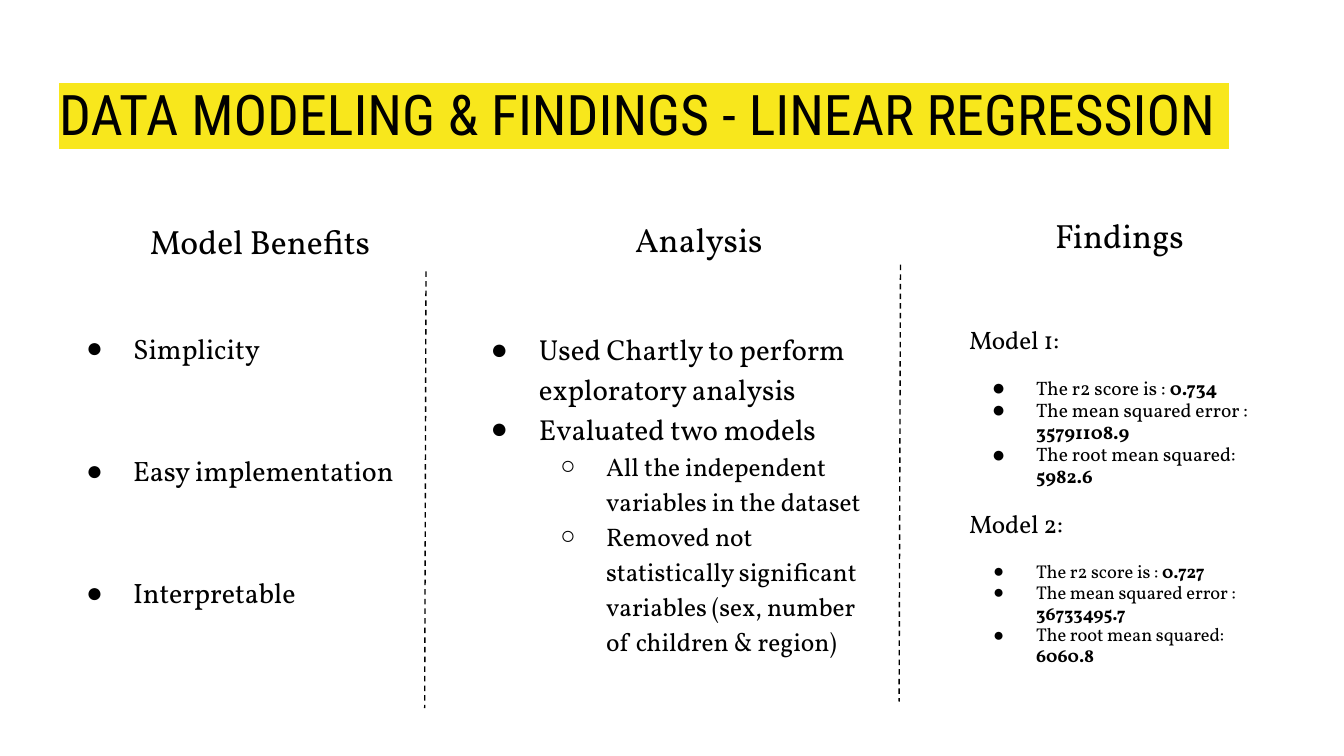
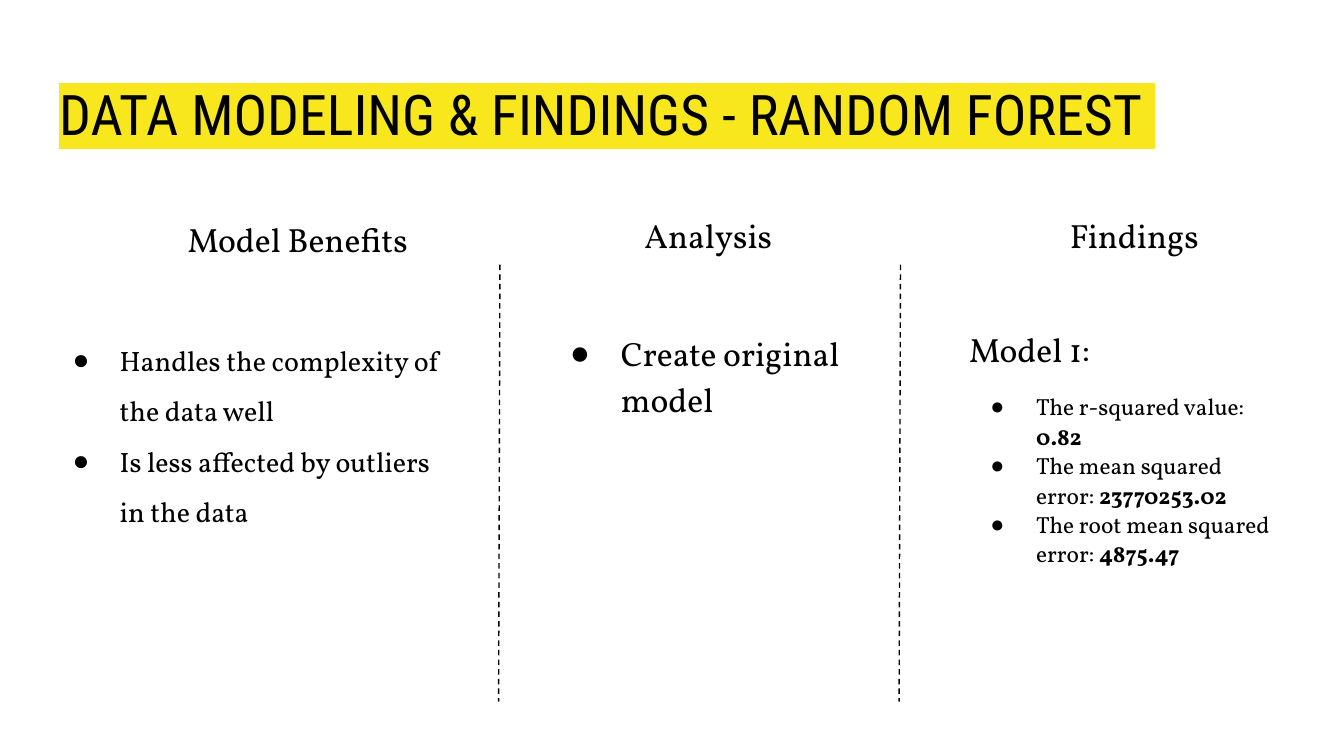
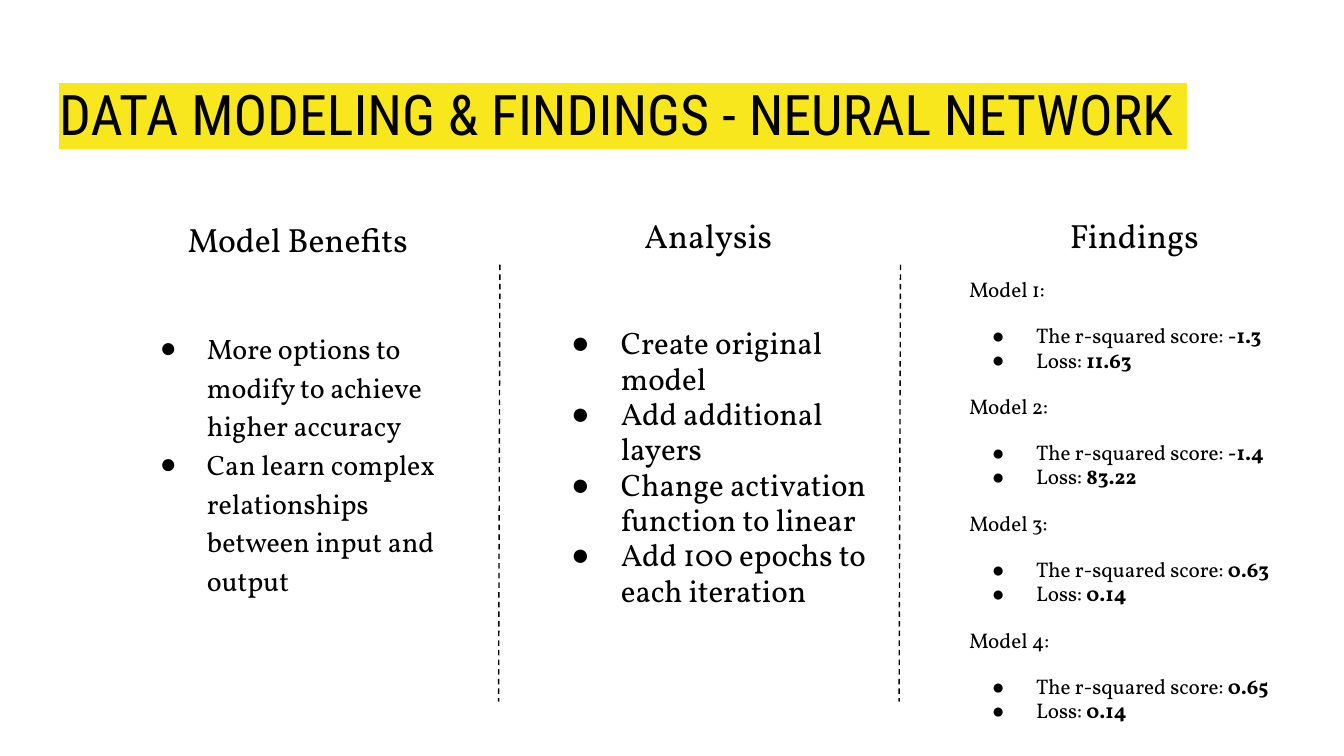
"""Build three slides that compare data models by benefits, analysis and findings."""
from dataclasses import dataclass, replace

from lxml.etree import SubElement
from pptx import Presentation
from pptx.dml.color import RGBColor
from pptx.enum.dml import MSO_LINE
from pptx.enum.shapes import MSO_CONNECTOR
from pptx.enum.text import MSO_ANCHOR as Anchor
from pptx.enum.text import MSO_AUTO_SIZE as AutoSize
from pptx.enum.text import PP_ALIGN as Align
from pptx.oxml.ns import qn
from pptx.slide import Slide
from pptx.text.text import TextFrame, _Paragraph as Paragraph
from pptx.util import Inches, Pt

BLACK = RGBColor(0x00, 0x00, 0x00)
YELLOW = RGBColor(0xF8, 0xE7, 0x1C)
TITLE_FONT = "Roboto Condensed"
TEXT_FONT = "Vollkorn"
COMPARISON_LAYOUT = 4
BODY_INDEXES = (2, 4, 1)
UNUSED_INDEX = 3
DIVIDER_HEIGHT = 3.25
DIVIDER_DRIFT = 0.01
INDENT = 0.5
GROUP_GAP = 12


@dataclass(frozen=True)
class Box:
    """Position and size in inches."""
    left: float
    top: float
    width: float
    height: float


@dataclass(frozen=True)
class Style:
    """Paragraph format of a list entry; hanging is the bullet's distance in inches."""
    size: float
    spacing: float = 1.15
    hanging: float = 0.35
    bullet: str = "●"
    bullet_percent: int = 100
    level: int = 0
    before: float = 0


@dataclass(frozen=True)
class Entry:
    """One paragraph with an optional bold value at its end."""
    text: str
    style: Style
    value: str = ""


@dataclass(frozen=True)
class Column:
    """A heading over a list."""
    heading: str
    heading_box: Box
    list_box: Box
    entries: list[Entry]


@dataclass(frozen=True)
class ModelSlide:
    """A slide on one kind of model, with the divider starts as x and y."""
    model: str
    columns: list[Column]
    dividers: list[tuple[float, float]]


TITLE_BOX = Box(0.34, 0.49, 9.32, 1.04)
BENEFITS_HEADING = Box(0.45, 1.53, 3.53, 0.42)
ANALYSIS_HEADING = Box(4.05, 1.5, 2.44, 0.42)
FINDINGS_HEADING = Box(7.22, 1.5, 2.44, 0.42)
ANALYSIS_LIST = Box(4.02, 2.33, 2.55, 2.63)
FINDINGS_LIST = Box(7.11, 2.33, 2.55, 2.63)
LEFT_DIVIDER = (3.72, 1.97)
RIGHT_DIVIDER = (6.7, 1.97)


def bullets(texts: list[str], style: Style) -> list[Entry]:
    """Give every text the same style."""
    return [Entry(text, style) for text in texts]


def model_group(number: int, label_size: float, scores: dict[str, str], style: Style) -> list[Entry]:
    """Return a model label followed by its scores."""
    label_gap = GROUP_GAP if number > 1 else 0
    label = Style(label_size, style.spacing, bullet="", before=label_gap)
    entries = [Entry(f"Model {number}:", label)]
    for index, (text, value) in enumerate(scores.items()):
        before = 0 if index else GROUP_GAP
        entries.append(Entry(f"{text} ", replace(style, before=before), value))
    return entries


def linear_scores(r2: str, mean: str, root: str) -> dict[str, str]:
    """Name the scores of a linear regression model."""
    return {"The r2 score is :": r2, "The mean squared error :": mean, "The root mean squared:": root}


def linear_regression() -> ModelSlide:
    """Describe the linear regression slide."""
    benefit = Style(15)
    spaced = replace(benefit, before=44.7)
    step = Style(15.5, hanging=0.36)
    detail = Style(13.6, hanging=0.34, bullet="○", level=1)
    benefits = bullets(["Simplicity"], benefit) + bullets(["Easy implementation", "Interpretable"], spaced)
    analysis = bullets(["Used Chartly to perform exploratory analysis", "Evaluated two models"], step)
    analysis += bullets([
        "All the independent variables in the dataset",
        "Removed not statistically significant variables (sex, number of children & region)",
    ], detail)
    findings = model_group(1, 13.5, linear_scores("0.734", "35791108.9", "5982.6"),
                           Style(10.4, 0.95, 0.33, bullet_percent=116))
    findings += model_group(2, 13.5, linear_scores("0.727", "36733495.7", "6060.8"),
                            Style(9.9, 0.95, 0.32))
    return ModelSlide("LINEAR REGRESSION", [
        Column("Model Benefits", Box(0.17, 1.54, 3.53, 0.42), Box(0.39, 2.33, 3.1, 2.63), benefits),
        Column("Analysis", Box(3.98, 1.53, 2.44, 0.42), Box(3.41, 2.33, 3.1, 3.06), analysis),
        Column("Findings", Box(7.11, 1.5, 2.44, 0.42), Box(7.11, 2.33, 2.55, 2.98), findings),
    ], [(3.17, 2.02), RIGHT_DIVIDER])


def standard_slide(model: str, benefits: list[Entry], analysis: list[Entry], findings: list[Entry],
                   benefits_list: Box, findings_list: Box) -> ModelSlide:
    """Describe a slide with the usual headings and dividers."""
    return ModelSlide(model, [
        Column("Model Benefits", BENEFITS_HEADING, benefits_list, benefits),
        Column("Analysis", ANALYSIS_HEADING, ANALYSIS_LIST, analysis),
        Column("Findings", FINDINGS_HEADING, findings_list, findings),
    ], [LEFT_DIVIDER, RIGHT_DIVIDER])


def random_forest() -> ModelSlide:
    """Describe the random forest slide."""
    benefits = bullets([
        "Handles the complexity of the data well",
        "Is less affected by outliers in the data",
    ], Style(15, 1.5))
    analysis = bullets(["Create original model"], Style(18, hanging=0.38))
    scores = {
        "The r-squared value:": "0.82",
        "The mean squared error:": "23770253.02",
        "The root mean squared error:": "4875.47",
    }
    findings = model_group(1, 18, scores, Style(12.5, 1.05, 0.34))
    return standard_slide("RANDOM FOREST", benefits, analysis, findings,
                          Box(0.29, 2.33, 3.2, 2.63), FINDINGS_LIST)


def neural_network() -> ModelSlide:
    """Describe the neural network slide."""
    benefits = bullets([
        "More options to modify to achieve higher accuracy",
        "Can learn complex relationships between input and output",
    ], Style(15))
    analysis = bullets([
        "Create original model",
        "Add additional layers",
        "Change activation function to linear",
        "Add 100 epochs to each iteration",
    ], Style(16.6, 0.95, 0.37))
    results = [("-1.3", "11.63"), ("-1.4", "83.22"), ("0.63", "0.14"), ("0.65", "0.14")]
    findings = []
    for number, (r_squared, loss) in enumerate(results, start=1):
        scores = {"The r-squared score:": r_squared, "Loss:": loss}
        findings += model_group(number, 11.3, scores, Style(11.3, 0.95, 0.33))
    return standard_slide("NEURAL NETWORK", benefits, analysis, findings,
                          Box(0.94, 2.33, 2.55, 2.63), Box(7.11, 1.97, 2.55, 3.62))


def place(shape, box: Box) -> TextFrame:
    """Move a shape into its box and return its prepared text frame."""
    shape.left, shape.top = Inches(box.left), Inches(box.top)
    shape.width, shape.height = Inches(box.width), Inches(box.height)
    frame = shape.text_frame
    frame.word_wrap = True
    frame.auto_size = AutoSize.NONE
    frame.vertical_anchor = Anchor.TOP
    frame.margin_left = frame.margin_right = Inches(0.1)
    frame.margin_top = frame.margin_bottom = Inches(0.1)
    return frame


def add_text(paragraph: Paragraph, text: str, *, size: float, font: str = TEXT_FONT,
             bold: bool = False, highlight: RGBColor | None = None) -> None:
    """Add a formatted run to a paragraph."""
    run = paragraph.add_run()
    run.text = text
    run.font.size = Pt(size)
    run.font.bold = bold
    run.font.color.rgb = BLACK
    run.font.name = font
    if highlight is not None:
        properties = run.font._element
        mark = SubElement(properties, qn("a:highlight"))
        SubElement(mark, qn("a:srgbClr"), val=str(highlight))
        properties.find(qn("a:solidFill")).addnext(mark)


def format_entry(paragraph: Paragraph, style: Style) -> None:
    """Set spacing, indent and bullet of a list paragraph."""
    paragraph.alignment = Align.LEFT
    paragraph.level = style.level
    paragraph.line_spacing = style.spacing
    paragraph.space_before = Pt(style.before)
    paragraph.space_after = Pt(0)
    properties = paragraph._p.get_or_add_pPr()
    if not style.bullet:
        properties.set("marL", "0")
        properties.set("indent", "0")
        SubElement(properties, qn("a:buNone"))
        return
    properties.set("marL", str(Inches(INDENT * (style.level + 1))))
    properties.set("indent", str(-Inches(style.hanging)))
    color = SubElement(properties, qn("a:buClr"))
    SubElement(color, qn("a:srgbClr"), val=str(BLACK))
    SubElement(properties, qn("a:buSzPct"), val=str(style.bullet_percent * 1000))
    SubElement(properties, qn("a:buChar"), char=style.bullet)


def draw_title(slide: Slide, model: str) -> None:
    """Write the highlighted title."""
    paragraph = place(slide.shapes.title, TITLE_BOX).paragraphs[0]
    paragraph.alignment = Align.LEFT
    add_text(paragraph, f"DATA MODELING & FINDINGS - {model} ", size=30, font=TITLE_FONT, highlight=YELLOW)


def draw_column(slide: Slide, column: Column, body_index: int) -> None:
    """Draw a column's heading and fill its body placeholder."""
    heading = slide.shapes.add_textbox(0, 0, 0, 0)
    paragraph = place(heading, column.heading_box).paragraphs[0]
    paragraph.alignment = Align.CENTER
    add_text(paragraph, column.heading, size=18)
    frame = place(slide.placeholders[body_index], column.list_box)
    for index, entry in enumerate(column.entries):
        paragraph = frame.add_paragraph() if index else frame.paragraphs[0]
        format_entry(paragraph, entry.style)
        add_text(paragraph, entry.text, size=entry.style.size)
        if entry.value:
            add_text(paragraph, entry.value, size=entry.style.size, bold=True)


def draw_divider(slide: Slide, left: float, top: float) -> None:
    """Draw a dashed line between two columns."""
    divider = slide.shapes.add_connector(
        MSO_CONNECTOR.STRAIGHT, Inches(left), Inches(top),
        Inches(left - DIVIDER_DRIFT), Inches(top + DIVIDER_HEIGHT))
    divider.line.color.rgb = BLACK
    divider.line.width = Pt(0.75)
    divider.line.dash_style = MSO_LINE.DASH
    SubElement(divider._element.spPr, qn("a:effectLst"))


def draw_slide(presentation, content: ModelSlide) -> None:
    """Add one model slide to the presentation."""
    slide = presentation.slides.add_slide(presentation.slide_layouts[COMPARISON_LAYOUT])
    unused = slide.placeholders[UNUSED_INDEX]._element
    unused.getparent().remove(unused)
    draw_title(slide, content.model)
    for column, body_index in zip(content.columns, BODY_INDEXES):
        draw_column(slide, column, body_index)
    for left, top in content.dividers:
        draw_divider(slide, left, top)


def main() -> None:
    """Build and save the presentation."""
    presentation = Presentation()
    presentation.slide_width = Inches(10)
    presentation.slide_height = Inches(10) * 9 // 16
    for content in (linear_regression(), random_forest(), neural_network()):
        draw_slide(presentation, content)
    presentation.save("out.pptx")


if __name__ == "__main__":
    main()
